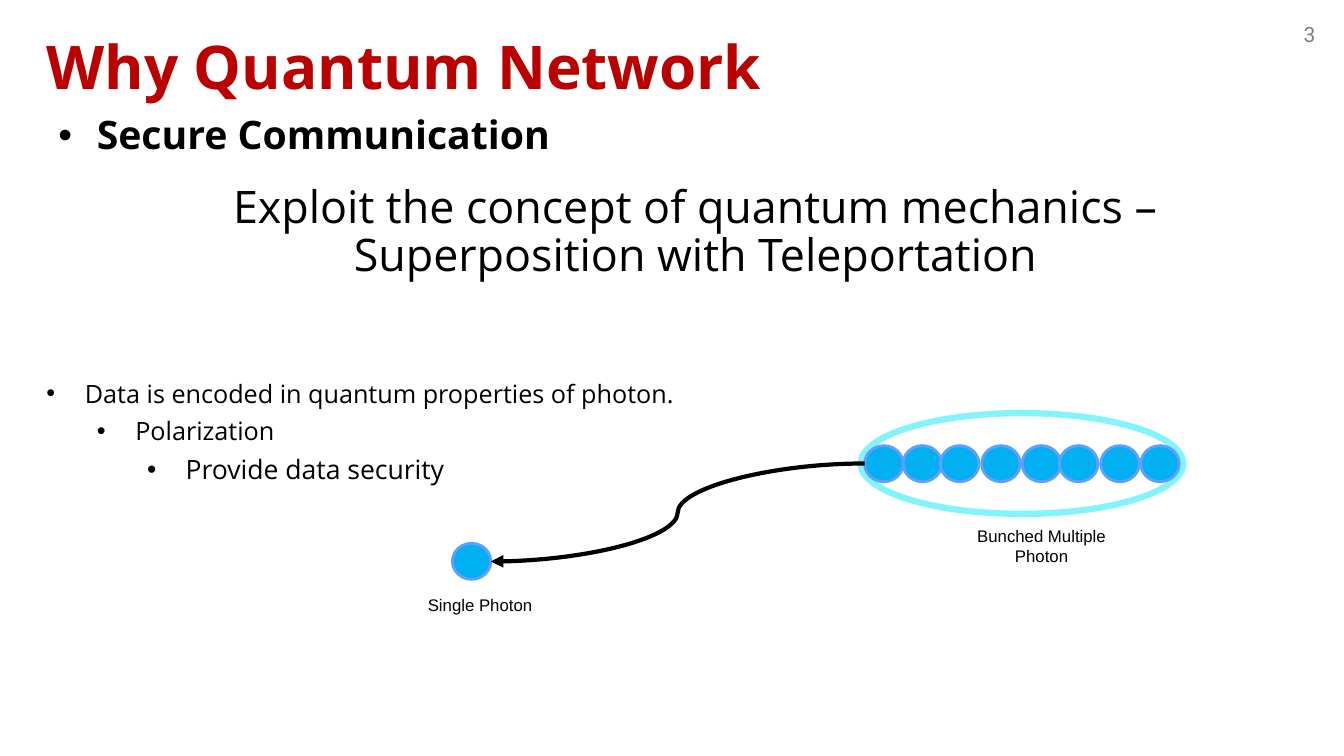
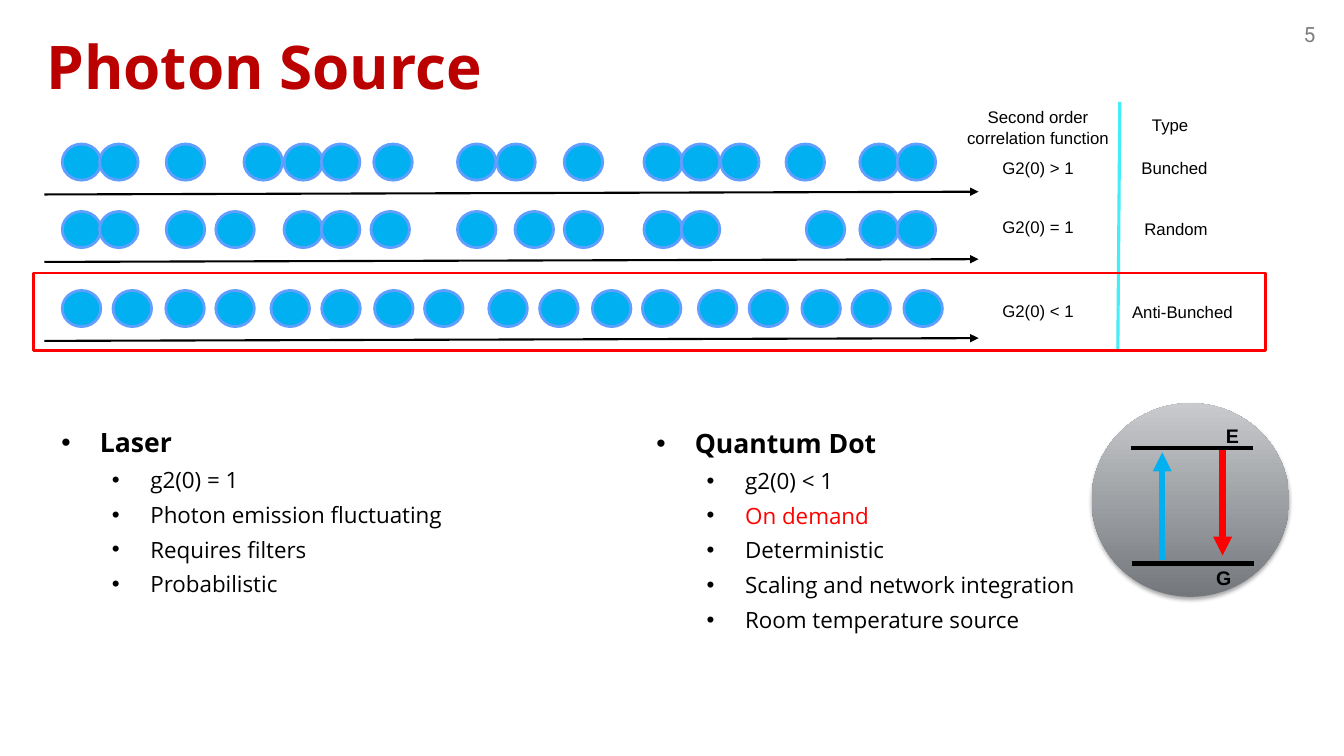
"""Build two slides on quantum networks and photon sources."""
import pptx
import pptx.chart.data
import pptx.dml.color
import pptx.enum.shapes
import pptx.enum.text
import pptx.oxml
import pptx.oxml.ns
import pptx.util
from lxml import etree

Cm = pptx.util.Cm
Pt = pptx.util.Pt
SHAPE = pptx.enum.shapes.MSO_SHAPE
LINK = pptx.enum.shapes.MSO_CONNECTOR
ALIGN = pptx.enum.text.PP_ALIGN
ANCHOR = pptx.enum.text.MSO_ANCHOR
qn = pptx.oxml.ns.qn

HEADING = "Open Sans"
LABEL = "Arial"
NUMBER = "Roboto"
TITLE_RED = "BB0000"
RED = "FF0000"
BLACK = "000000"
GREY = "7F7F7F"
PHOTON = "00B0F0"
PHOTON_EDGE = "609EFF"
PHOTON_WIDTH, PHOTON_HEIGHT = 0.97, 0.91


def color(code):
    return pptx.dml.color.RGBColor.from_string(code)


def add_child(parent, tag, **attributes):
    child = etree.SubElement(parent, qn(tag))
    for key, value in attributes.items():
        child.set(key, str(value))
    return child


def text_frame(slide, at, inset=(0.33, 0.17), anchor=ANCHOR.TOP):
    frame = slide.shapes.add_textbox(*map(Cm, at)).text_frame
    frame.word_wrap = True
    frame.vertical_anchor = anchor
    frame.margin_left = frame.margin_right = Cm(inset[0])
    frame.margin_top = frame.margin_bottom = Cm(inset[1])
    return frame


def write(paragraph, words, size, font, code=BLACK, bold=False, align=ALIGN.LEFT):
    paragraph.text = words
    paragraph.alignment = align
    for run in paragraph.runs:
        run.font.size = Pt(size)
        run.font.name = font
        run.font.bold = bold
        run.font.color.rgb = color(code)


def add_body_line(frame, words, size, before=8, **style):
    first = frame.paragraphs[0]
    paragraph = frame.add_paragraph() if first.runs else first
    write(paragraph, words, size, HEADING, **style)
    paragraph.line_spacing = 0.88
    paragraph.space_before = Pt(before)
    return paragraph


def add_bullet(frame, words, size, level=0, **style):
    paragraph = add_body_line(frame, words, size, **style)
    paragraph.level = level
    properties = paragraph._p.get_or_add_pPr()
    properties.set("marL", str(Cm(0.97 + 1.27 * level)))
    properties.set("indent", str(-Cm(0.97)))
    add_child(add_child(properties, "a:buClr"), "a:srgbClr", val=BLACK)
    add_child(properties, "a:buFont", typeface=LABEL)
    add_child(properties, "a:buChar", char="•")


def label(slide, words, center, top, width=3.2, size=12, bold=False):
    frame = text_frame(slide, (center - width / 2, top, width, 0.76), (0.25, 0.13))
    write(frame.paragraphs[0], words, size, LABEL, bold=bold, align=ALIGN.CENTER)


def outlined(slide, kind, at, edge, weight, fill=None):
    shape = slide.shapes.add_shape(kind, *map(Cm, at))
    shape.shadow.inherit = False
    if fill:
        shape.fill.solid()
        shape.fill.fore_color.rgb = color(fill)
    else:
        shape.fill.background()
    shape.line.color.rgb = color(edge)
    shape.line.width = Pt(weight)


def photons(slide, lefts, top):
    for left in lefts:
        at = (left, top, PHOTON_WIDTH, PHOTON_HEIGHT)
        outlined(slide, SHAPE.OVAL, at, PHOTON_EDGE, 2, PHOTON)


def connect(slide, ends, code, weight, arrow=False, kind=LINK.STRAIGHT):
    link = slide.shapes.add_connector(kind, *map(Cm, ends))
    link.line.color.rgb = color(code)
    link.line.width = Pt(weight)
    if arrow:
        add_child(link.line._get_or_add_ln(), "a:tailEnd", type="triangle")
    add_child(link._element.spPr, "a:effectLst")


def shaded_disc(slide, at):
    disc = slide.shapes.add_shape(SHAPE.OVAL, *map(Cm, at))
    disc.line.fill.background()
    disc.fill.gradient()
    disc.fill.gradient_angle = 90
    for stop, code in zip(disc.fill.gradient_stops, ("74787C", "C8CACD")):
        stop.color.rgb = color(code)
    disc.shadow.inherit = False
    effects = disc._element.spPr.find(qn("a:effectLst"))
    shadow = add_child(effects, "a:outerShdw", blurRad=Pt(3.1), dist=Pt(1.8),
                       dir=5400000, algn="ctr", rotWithShape=0)
    add_child(add_child(shadow, "a:srgbClr", val=BLACK), "a:alpha", val=35000)


def new_slide(deck, title, number):
    slide = deck.slides.add_slide(deck.slide_layouts[6])
    corner = text_frame(slide, (31.6, 0.38, 1.88, 0.97))
    write(corner.paragraphs[0], number, 15, NUMBER, GREY, align=ALIGN.RIGHT)
    heading = text_frame(slide, (0.84, 0.51, 31.83, 2.26), anchor=ANCHOR.MIDDLE)
    write(heading.paragraphs[0], title, 43, HEADING, TITLE_RED, bold=True)
    return slide


def network_slide(deck):
    slide = new_slide(deck, "Why Quantum Network", "3")
    reason = text_frame(slide, (1.14, 2.77, 31.52, 5.94))
    add_bullet(reason, "Secure Communication", 28, bold=True)
    concept = add_body_line(
        reason,
        "Exploit the concept of quantum mechanics – Superposition with Teleportation",
        32, before=20, align=ALIGN.CENTER)
    concept._p.get_or_add_pPr().set("marL", str(Cm(1.27)))

    photons(slide, [11.4], 13.69)
    outlined(slide, SHAPE.OVAL, (21.69, 10.41, 8.13, 2.54), "82F4FA", 4.5)
    photons(slide, [21.79, 22.76, 23.7, 24.74, 25.76, 26.7, 27.74, 28.75], 11.23)
    connect(slide, (21.79, 11.68, 12.37, 14.15), BLACK, 3, True, LINK.CURVE)
    label(slide, "Bunched Multiple Photon", 26.25, 13.11, 3.78)
    label(slide, "Single Photon", 12.1, 14.86, 3.4)

    encoding = text_frame(slide, (0.84, 9.45, 30.48, 6.2))
    add_bullet(encoding, "Data is encoded in quantum properties of photon.", 18)
    add_bullet(encoding, "Polarization", 18, level=1)
    add_bullet(encoding, "Provide data security", 19, level=2)


def photon_streams(slide):
    bunched = [1.57, 2.51, 4.19, 6.15, 7.16, 8.1, 9.42, 11.53, 12.52, 14.22,
               16.23, 17.17, 18.16, 19.81, 21.67, 22.61]
    random = [1.57, 2.51, 4.19, 5.44, 7.16, 8.1, 9.35, 11.53, 12.98, 14.22,
              16.23, 17.17, 20.32, 21.67, 22.61]
    regular = [start + step for start in (1.57, 6.83, 12.32, 17.6)
               for step in (0, 1.28, 2.61, 3.87)] + [22.78]
    streams = [
        (bunched, 3.63, "G2(0) > 1", 3.84, "Bunched", 29.6, 3.84),
        (random, 5.33, "G2(0) = 1", 5.33, "Random", 29.64, 5.38),
        (regular, 7.32, "G2(0) < 1", 7.44, "Anti-Bunched", 29.8, 7.47),
    ]
    label(slide, "Second order correlation function", 26.16, 2.57, 4.22)
    label(slide, "Type", 29.49, 2.77)
    for lefts, top, value, value_top, name, name_center, name_top in streams:
        connect(slide, (1.12, top + 1.27, 24.66, top + 1.2), BLACK, 1.5, True)
        photons(slide, lefts, top)
        label(slide, value, 26.16, value_top)
        label(slide, name, name_center, name_top)
    connect(slide, (28.22, 2.57, 28.17, 8.84), "43EEF7", 2.25)
    outlined(slide, SHAPE.RECTANGLE, (0.84, 6.88, 31.06, 1.96), RED, 2)


def energy_levels(slide):
    shaded_disc(slide, (27.51, 10.16, 4.98, 4.88))
    connect(slide, (28.5, 11.28, 31.57, 11.28), BLACK, 3)
    connect(slide, (28.52, 14.2, 31.6, 14.2), BLACK, 3)
    connect(slide, (30.81, 11.35, 30.81, 14), RED, 4.5, True)
    connect(slide, (29.29, 14.1, 29.29, 11.4), PHOTON, 4.5, True)
    label(slide, "E", 31.06, 10.54, 1.5, 14, True)
    label(slide, "G", 30.84, 14.12, 1.5, 14, True)


def source_list(slide, at, name, traits, highlight=None):
    frame = text_frame(slide, at)
    add_bullet(frame, name, 19, bold=True)
    for trait in traits:
        add_bullet(frame, trait, 16, level=1,
                   code=RED if trait == highlight else BLACK)


def source_slide(deck):
    slide = new_slide(deck, "Photon Source", "5")
    photon_streams(slide)
    source_list(slide, (1.22, 10.67, 13.94, 5.59), "Laser",
                ["g2(0) = 1", "Photon emission fluctuating", "Requires filters",
                 "Probabilistic"])
    source_list(slide, (16.21, 10.69, 13.21, 6.32), "Quantum Dot",
                ["g2(0) < 1", "On demand", "Deterministic",
                 "Scaling and network integration", "Room temperature source"],
                highlight="On demand")
    energy_levels(slide)


def main():
    deck = pptx.Presentation()
    deck.slide_width, deck.slide_height = Cm(33.87), Cm(19.05)
    network_slide(deck)
    source_slide(deck)
    deck.save("out.pptx")


if __name__ == "__main__":
    main()
